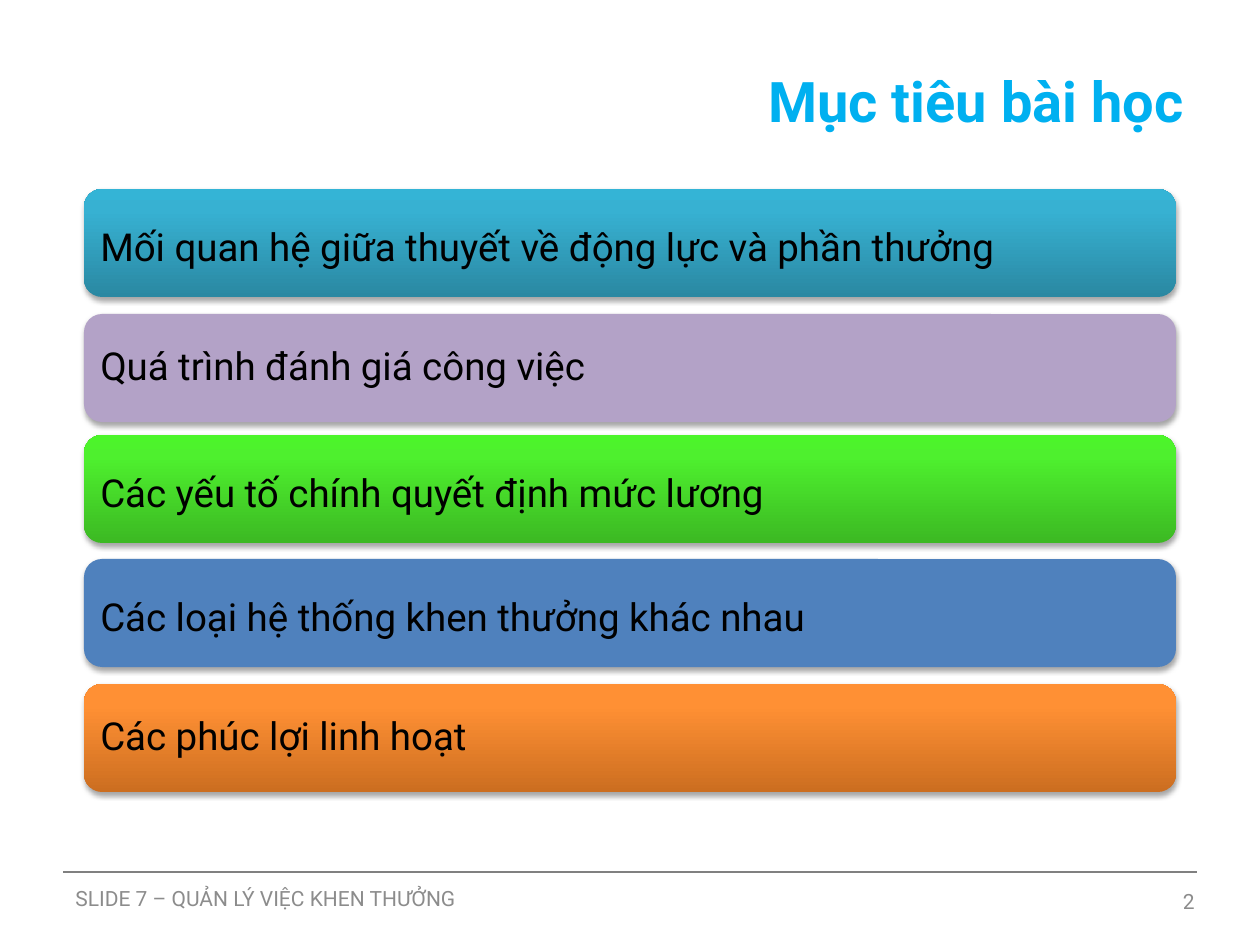
from copy import deepcopy

from lxml.etree import SubElement
from pptx import Presentation
from pptx.dml.color import RGBColor
from pptx.enum.shapes import MSO_CONNECTOR, MSO_SHAPE
from pptx.enum.text import MSO_ANCHOR, PP_ALIGN
from pptx.oxml.ns import qn
from pptx.util import Emu, Pt

FONT = "Roboto"
GREY = "8C8C8C"
STOPS = (0, 0.8, 1)
GOALS = [
    (189, "Mối quan hệ giữa thuyết về động lực và phần thưởng",
     ("2A88A2", "37B1D2", "34B4D6"), PP_ALIGN.JUSTIFY, 1.14),
    (314, "Quá trình đánh giá công việc",
     ("B3A2C7",), PP_ALIGN.LEFT, 0.9),
    (435, "Các yếu tố chính quyết định mức lương",
     ("3CB923", "4EF02E", "4CF52A"), PP_ALIGN.JUSTIFY, 1.14),
    (559, "Các loại hệ thống khen thưởng khác nhau",
     ("4F81BD",), PP_ALIGN.JUSTIFY, 1.14),
    (684, "Các phúc lợi linh hoạt",
     ("CC6E20", "FF9034", "FF9136"), PP_ALIGN.LEFT, 0.9),
]


def px(n):
    return Emu(round(n * 914400 / 126))


def rgb(color):
    return RGBColor.from_string(color)


def write(sp, text, size, color, align, bold=False):
    tf = sp.text_frame
    tf.word_wrap = True
    tf.vertical_anchor = MSO_ANCHOR.MIDDLE
    p = tf.paragraphs[0]
    p.text = text
    p.alignment = align
    p.font.name = FONT
    p.font.size = Pt(size)
    p.font.bold = bold
    p.font.color.rgb = rgb(color)
    return p


def paint(sp, colors):
    if len(colors) == 1:
        sp.fill.solid()
        sp.fill.fore_color.rgb = rgb(colors[0])
        return
    sp.fill.gradient()
    sp.fill.gradient_angle = 90
    stops = sp._element.spPr.find(".//" + qn("a:gsLst"))
    stops.append(deepcopy(stops[-1]))
    for stop, position, color in zip(sp.fill.gradient_stops, STOPS, colors):
        stop.position = position
        stop.color.rgb = rgb(color)


def add_shadow(sp):
    sp.shadow.inherit = False
    effects = sp._element.spPr.find(qn("a:effectLst"))
    shadow = SubElement(effects, qn("a:outerShdw"), blurRad="40000",
                        dist="23000", dir="5400000", rotWithShape="0")
    color = SubElement(shadow, qn("a:srgbClr"), val="000000")
    SubElement(color, qn("a:alpha"), val="35000")


def add_title(s, x, y, w, h):
    sp = s.shapes.title
    sp.left, sp.top, sp.width, sp.height = map(px, (x, y, w, h))
    write(sp, "Mục tiêu bài học", 32, "00B0F0", PP_ALIGN.RIGHT, True)


def add_goal(s, x, y, w, h, text, colors, align, spacing):
    sp = s.shapes.add_shape(MSO_SHAPE.ROUNDED_RECTANGLE, *map(px, (x, y, w, h)))
    paint(sp, colors)
    sp.line.fill.background()
    add_shadow(sp)
    tf = sp.text_frame
    tf.margin_left = tf.margin_right = tf.margin_top = tf.margin_bottom = px(11)
    p = write(sp, text, 22, "000000", align)
    p.line_spacing = spacing
    p.space_after = Pt(7.7)


def add_footer(s, x, y, w):
    line = s.shapes.add_connector(MSO_CONNECTOR.STRAIGHT,
                                  *map(px, (x, y, x + w, y)))
    line.line.color.rgb = rgb("808080")
    line.line.width = Pt(0.75)
    SubElement(line._element.spPr, qn("a:effectLst"))
    for dx, dy, width, text, align in (
        (0, 1, 840, "SLIDE 7 – QUẢN LÝ VIỆC KHEN THƯỞNG", PP_ALIGN.LEFT),
        (851, 4, 293, "2", PP_ALIGN.RIGHT),
    ):
        sp = s.shapes.add_textbox(*map(px, (x + dx, y + dy, width, 50)))
        write(sp, text, 12, GREY, align)


def main():
    prs = Presentation()
    prs.slide_width, prs.slide_height = px(1260), px(945)
    s = prs.slides.add_slide(prs.slide_layouts[5])
    add_title(s, 63, 21, 1134, 158)
    for y, *goal in GOALS:
        add_goal(s, 84, y, 1092, 108, *goal)
    add_footer(s, 63, 872, 1134)
    prs.save("out.pptx")


if __name__ == "__main__":
    main()
